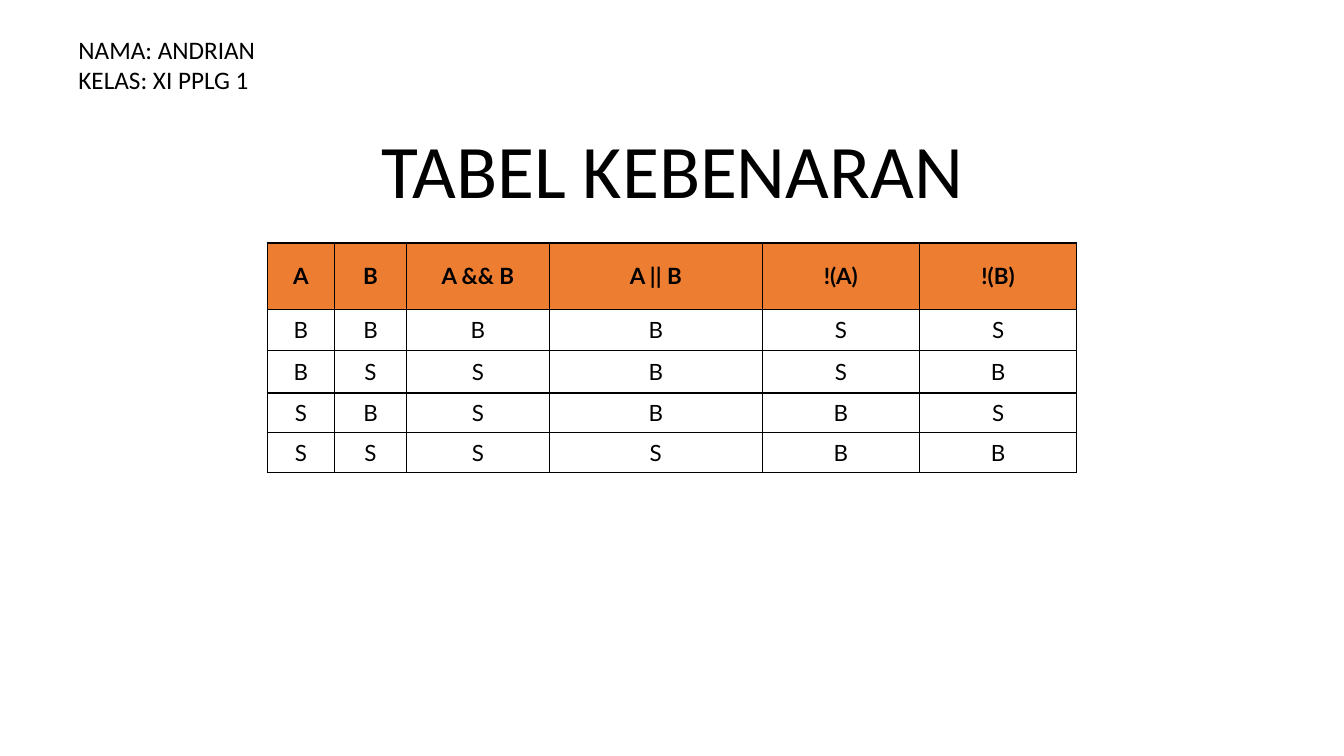
from itertools import product

from lxml.etree import SubElement
from pptx import Presentation
from pptx.dml.color import RGBColor
from pptx.enum.text import MSO_ANCHOR, PP_ALIGN
from pptx.oxml.ns import qn
from pptx.util import Inches, Pt

BLACK = RGBColor(0x00, 0x00, 0x00)
WHITE = RGBColor(0xFF, 0xFF, 0xFF)
ORANGE = RGBColor(0xED, 0x7D, 0x31)

HEADERS = ["A", "B", "A && B", "A || B", "!(A)", "!(B)"]
COL_WIDTHS = [0.67, 0.71, 1.42, 2.11, 1.56, 1.56]
ROW_HEIGHTS = [0.66, 0.41, 0.42, 0.39, 0.4]


def truth_rows():
    """Truth values, with B for benar (true) and S for salah (false)."""
    return [["B" if value else "S" for value in (a, b, a and b, a or b, not a, not b)]
            for a, b in product([True, False], repeat=2)]


def style_runs(p, size, font, bold=False):
    for r in p.runs:
        r.font.size = Pt(size)
        r.font.name = font
        r.font.bold = bold
        r.font.color.rgb = BLACK


def add_text(s, left, top, width, height, text, size, wrap=True):
    tf = s.shapes.add_textbox(Inches(left), Inches(top), Inches(width), Inches(height)).text_frame
    tf.word_wrap = wrap
    tf.text = text
    for p in tf.paragraphs:
        style_runs(p, size, "Calibri")
    return tf


def add_identity(s, left, top, width, height):
    add_text(s, left, top, width, height, "NAMA: ANDRIAN\nKELAS: XI PPLG 1", 18, wrap=False)


def add_title(s, left, top, width, height):
    tf = add_text(s, left, top, width, height, "TABEL KEBENARAN", 54)
    tf.vertical_anchor = MSO_ANCHOR.BOTTOM
    p = tf.paragraphs[0]
    p.alignment = PP_ALIGN.CENTER
    p.line_spacing = 0.9


def add_borders(cell):
    tcPr = cell._tc.get_or_add_tcPr()
    for side in ("a:lnL", "a:lnR", "a:lnT", "a:lnB"):
        ln = SubElement(tcPr, qn(side), w=str(Pt(1)))
        fill = SubElement(ln, qn("a:solidFill"))
        SubElement(fill, qn("a:srgbClr"), val=str(BLACK))


def add_truth_table(s, left, top, width, height):
    rows = [HEADERS] + truth_rows()
    table = s.shapes.add_table(len(rows), len(HEADERS), Inches(left), Inches(top),
                               Inches(width), Inches(height)).table
    for column, col_width in zip(table.columns, COL_WIDTHS):
        column.width = Inches(col_width)
    for row, row_height in zip(table.rows, ROW_HEIGHTS):
        row.height = Inches(row_height)

    # Cells: bold on orange in the header row, plain on white below
    for i, values in enumerate(rows):
        for j, value in enumerate(values):
            cell = table.cell(i, j)
            add_borders(cell)
            cell.fill.solid()
            cell.fill.fore_color.rgb = ORANGE if i == 0 else WHITE
            cell.vertical_anchor = MSO_ANCHOR.MIDDLE
            cell.text = value
            p = cell.text_frame.paragraphs[0]
            p.alignment = PP_ALIGN.CENTER
            style_runs(p, 16, "Lato", bold=i == 0)


def main():
    prs = Presentation()
    prs.slide_width = Inches(13.33)
    prs.slide_height = Inches(7.5)
    s = prs.slides.add_slide(prs.slide_layouts[6])
    add_title(s, 1.67, 1.23, 10, 0.95)
    add_truth_table(s, 2.65, 2.41, sum(COL_WIDTHS), sum(ROW_HEIGHTS))
    add_identity(s, 0.68, 0.29, 1.97, 0.71)
    prs.save("out.pptx")


if __name__ == "__main__":
    main()
